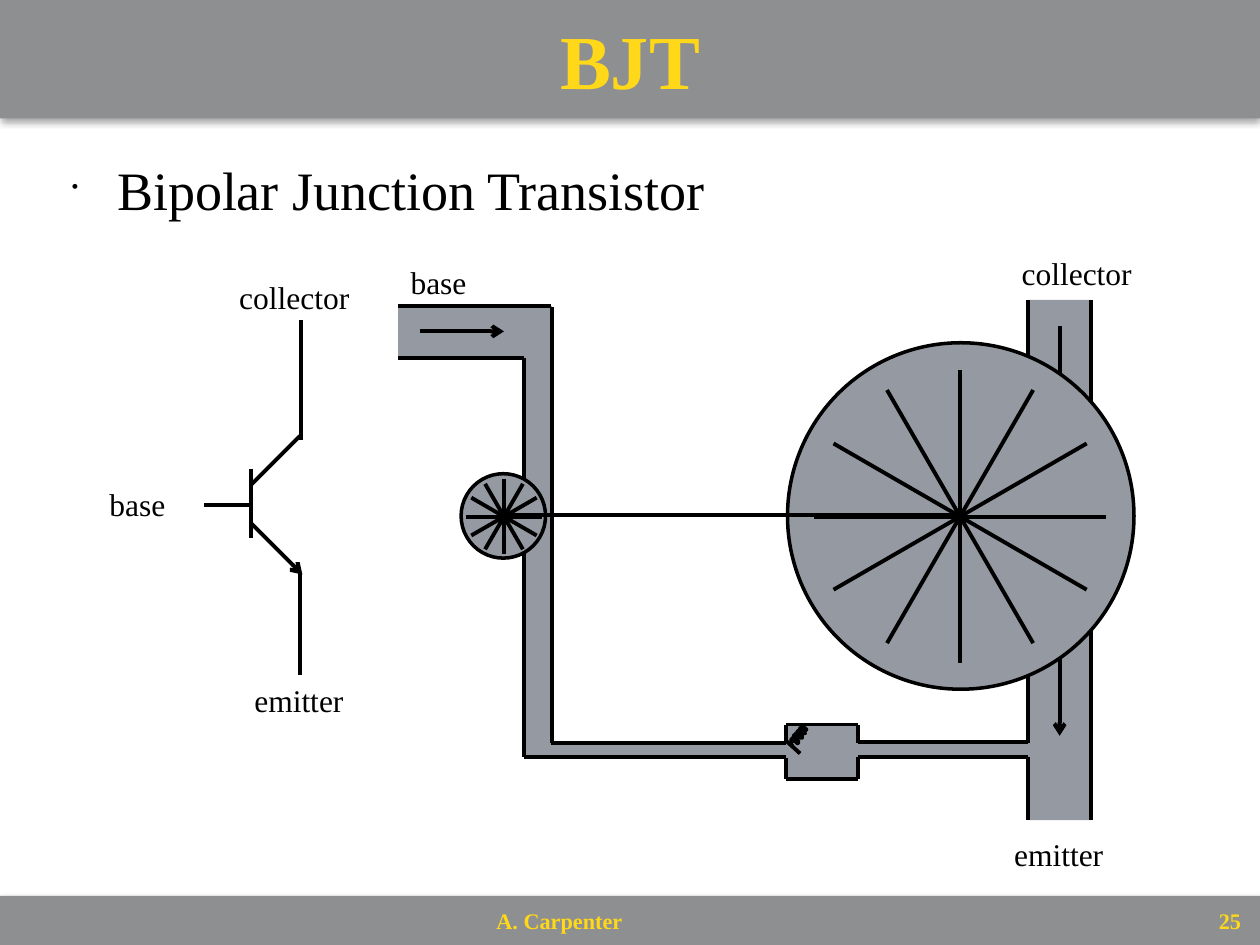
import math

import lxml.etree
import pptx
import pptx.dml.color
import pptx.enum.shapes
import pptx.enum.text
import pptx.oxml
import pptx.oxml.ns
import pptx.util

Inches = pptx.util.Inches
Pt = pptx.util.Pt
SHAPE = pptx.enum.shapes.MSO_SHAPE
ALIGN = pptx.enum.text.PP_ALIGN
ANCHOR = pptx.enum.text.MSO_ANCHOR
AUTO_SIZE = pptx.enum.text.MSO_AUTO_SIZE

FONT = "Times New Roman"
BLACK, BAR, PIPE, YELLOW = "000000", "8E8F90", "959AA2", "FFD819"
LINE_WIDTH = 2.25

# Turning points of the valve's spring, in hundredths of an inch
SPRING = [
    (629, 592), (628, 591), (628, 588), (628, 587), (629, 586), (630, 585),
    (632, 586), (633, 588), (634, 589), (633, 590), (631, 588), (630, 588),
    (630, 584), (631, 583), (632, 582), (635, 583), (636, 584), (637, 585),
    (636, 586), (634, 584), (633, 584), (633, 580), (634, 580), (637, 581),
    (638, 581), (639, 582), (637, 582), (635, 580), (635, 579), (635, 578),
    (636, 577), (639, 578), (640, 579), (639, 580), (638, 579), (637, 576),
    (637, 575),
]


def color(hex_string):
    return pptx.dml.color.RGBColor.from_string(hex_string)


def sub(parent, tag, **attrs):
    return lxml.etree.SubElement(parent, pptx.oxml.ns.qn(tag), **attrs)


def add_shape(shapes, kind, left, top, width, height, fill, line=None):
    s = shapes.add_shape(kind, Inches(left), Inches(top), Inches(width), Inches(height))
    s.shadow.inherit = False
    s.fill.solid()
    s.fill.fore_color.rgb = color(fill)
    if line:
        s.line.color.rgb = color(line)
        s.line.width = Pt(2)
    else:
        s.line.fill.background()
    return s


def add_bar(shapes, top, width, height):
    """Full-width band with a soft shadow below it."""
    s = add_shape(shapes, SHAPE.RECTANGLE, 0, top, width, height, BAR)
    effects = s._element.spPr.find(pptx.oxml.ns.qn("a:effectLst"))
    shadow = sub(effects, "a:outerShdw", blurRad=str(Pt(4)), dist=str(Pt(2)),
                 dir="5400000", rotWithShape="0")
    sub(sub(shadow, "a:srgbClr", val=BLACK), "a:alpha", val="35000")
    return s


def add_line(shapes, x1, y1, x2, y2, head=None, tail=None):
    c = shapes.add_connector(pptx.enum.shapes.MSO_CONNECTOR.STRAIGHT,
                             Inches(x1), Inches(y1), Inches(x2), Inches(y2))
    c.line.color.rgb = color(BLACK)
    c.line.width = Pt(LINE_WIDTH)
    ln = c.line._get_or_add_ln()
    for tag, kind in (("a:headEnd", head), ("a:tailEnd", tail)):
        if kind:
            sub(ln, tag, type=kind)
    sub(c._element.spPr, "a:effectLst")
    return c


def set_text(s, text, size, fill=BLACK, bold=False, align=ALIGN.LEFT,
             anchor=ANCHOR.TOP, inset=None, wrap=True):
    tf = s.text_frame
    tf.text = text
    tf.word_wrap = wrap
    tf.vertical_anchor = anchor
    if inset is not None:
        tf.margin_left = tf.margin_right = Inches(inset)
        tf.margin_top = tf.margin_bottom = Inches(inset)
    p = tf.paragraphs[0]
    p.alignment = align
    font = p.runs[0].font
    font.name, font.size, font.bold = FONT, Pt(size), bold
    font.color.rgb = color(fill)
    return p


def add_text(shapes, text, left, top, width, height, size, grow=True, **style):
    s = shapes.add_textbox(Inches(left), Inches(top), Inches(width), Inches(height))
    p = set_text(s, text, size, **style)
    if grow:
        s.text_frame.auto_size = AUTO_SIZE.SHAPE_TO_FIT_TEXT
    return p


def add_label(shapes, text, left, top):
    width = {"base": 0.65, "emitter": 0.92, "collector": 1.09}[text]
    add_text(shapes, text, left, top, width, 0.4, 18, wrap=False)


def add_spokes(shapes, cx, cy, radius):
    """Six diameters, 30 degrees apart."""
    group = shapes.add_group_shape()
    for step in range(6):
        dx = radius * math.cos(step * math.pi / 6)
        dy = radius * math.sin(step * math.pi / 6)
        add_line(group.shapes, cx - dx, cy - dy, cx + dx, cy + dy)


def add_valve(shapes):
    group = shapes.add_group_shape()
    add_shape(group.shapes, SHAPE.RECTANGLE, 6.24, 5.75, 0.57, 0.43, PIPE)
    add_line(group.shapes, 6.24, 5.88, 6.35, 5.98)
    builder = group.shapes.build_freeform(*SPRING[0], scale=Inches(0.01))
    builder.add_line_segments(SPRING[1:], close=False)
    s = builder.convert_to_shape()
    s.shadow.inherit = False
    s.fill.background()
    s.line.color.rgb = color(BLACK)
    s.line.width = Pt(LINE_WIDTH)


def add_pipes(shapes):
    # Main pipe with its walls, then the lower pipe and the base downpipe
    add_shape(shapes, SHAPE.RECTANGLE, 8.16, 2.38, 0.5, 4.13, PIPE)
    add_line(shapes, 8.66, 2.38, 8.66, 6.51)
    add_shape(shapes, SHAPE.RECTANGLE, 4.16, 5.9, 4.42, 0.1, PIPE)
    add_line(shapes, 8.16, 2.38, 8.16, 5.9)
    add_shape(shapes, SHAPE.RECTANGLE, 4.16, 2.43, 0.22, 3.58, PIPE)
    add_line(shapes, 4.16, 2.84, 4.16, 6.01)
    add_line(shapes, 8.41, 2.59, 8.41, 5.84, tail="arrow")
    add_shape(shapes, SHAPE.RECTANGLE, 3.16, 2.43, 1, 0.42, PIPE)


def add_walls(shapes):
    add_line(shapes, 3.33, 2.63, 4, 2.63, tail="arrow")
    for x1, x2, y in [(3.16, 4.37, 2.43), (3.16, 4.16, 2.84), (4.37, 6.24, 5.9),
                      (4.16, 6.24, 6.01), (6.81, 8.16, 6.01), (6.81, 8.16, 5.89),
                      (6.24, 6.81, 5.75), (6.24, 6.81, 6.18)]:
        add_line(shapes, x1, y, x2, y)
    for x, y1, y2 in [(4.38, 2.44, 5.9), (8.16, 6.01, 6.51), (6.24, 5.75, 5.9),
                      (6.81, 5.75, 5.9), (6.24, 6.02, 6.18), (6.81, 6.01, 6.18)]:
        add_line(shapes, x, y1, x, y2)


def add_transistor_symbol(shapes):
    group = shapes.add_group_shape()
    add_line(group.shapes, 1.99, 3.72, 1.99, 4.27)
    add_line(group.shapes, 1.99, 4.15, 2.4, 4.56, tail="arrow")
    for ends in [(1.99, 3.85, 2.38, 3.46), (2.39, 3.49, 2.39, 2.54),
                 (2.38, 4.54, 2.38, 5.36), (1.99, 4.01, 1.62, 4.01)]:
        add_line(group.shapes, *ends)


def add_bullet(shapes, text):
    p = add_text(shapes, text, 0.5, 1.17, 9, 1.85, 30.9, grow=False, inset=0.07)
    p.space_before = Pt(7)
    pPr = p._p.get_or_add_pPr()
    pPr.set("marL", str(Inches(0.36)))
    pPr.set("indent", str(Inches(-0.36)))
    sub(pPr, "a:buSzPct", val="35000")
    sub(pPr, "a:buChar", char="•")


def main():
    prs = pptx.Presentation()
    prs.slide_width, prs.slide_height = Inches(10), Inches(7.5)
    shapes = prs.slides.add_slide(prs.slide_layouts[6]).shapes

    add_bar(shapes, 7.11, 10.01, 0.39)
    footer = {"fill": YELLOW, "bold": True, "anchor": ANCHOR.MIDDLE}
    add_text(shapes, "A. Carpenter", 3.89, 7.15, 2.23, 0.31, 12.7, inset=0.05, **footer)
    add_pipes(shapes)
    title = add_bar(shapes, 0, 10, 0.94)
    set_text(title, "BJT", 43.6, YELLOW, True, ALIGN.CENTER, ANCHOR.MIDDLE, 0.07)
    add_bullet(shapes, "Bipolar Junction Transistor")
    add_text(shapes, "25", 9.57, 7.13, 0.35, 0.36, 12.7, align=ALIGN.RIGHT,
             inset=0.07, wrap=False, **footer)

    add_shape(shapes, SHAPE.OVAL, 3.66, 3.76, 0.67, 0.67, PIPE, BLACK)
    add_shape(shapes, SHAPE.OVAL, 6.25, 2.72, 2.75, 2.75, PIPE, BLACK)
    add_line(shapes, 4, 4.09, 7.62, 4.09, head="oval", tail="oval")
    add_valve(shapes)
    add_walls(shapes)
    add_spokes(shapes, 7.62, 4.1, 1.16)
    add_spokes(shapes, 4, 4.1, 0.3)
    add_transistor_symbol(shapes)
    for text, left, top in [("base", 3.16, 2.04), ("collector", 8.01, 1.97),
                            ("emitter", 7.95, 6.58), ("base", 0.77, 3.8),
                            ("emitter", 1.92, 5.36), ("collector", 1.8, 2.16)]:
        add_label(shapes, text, left, top)
    prs.save("out.pptx")


if __name__ == "__main__":
    main()
